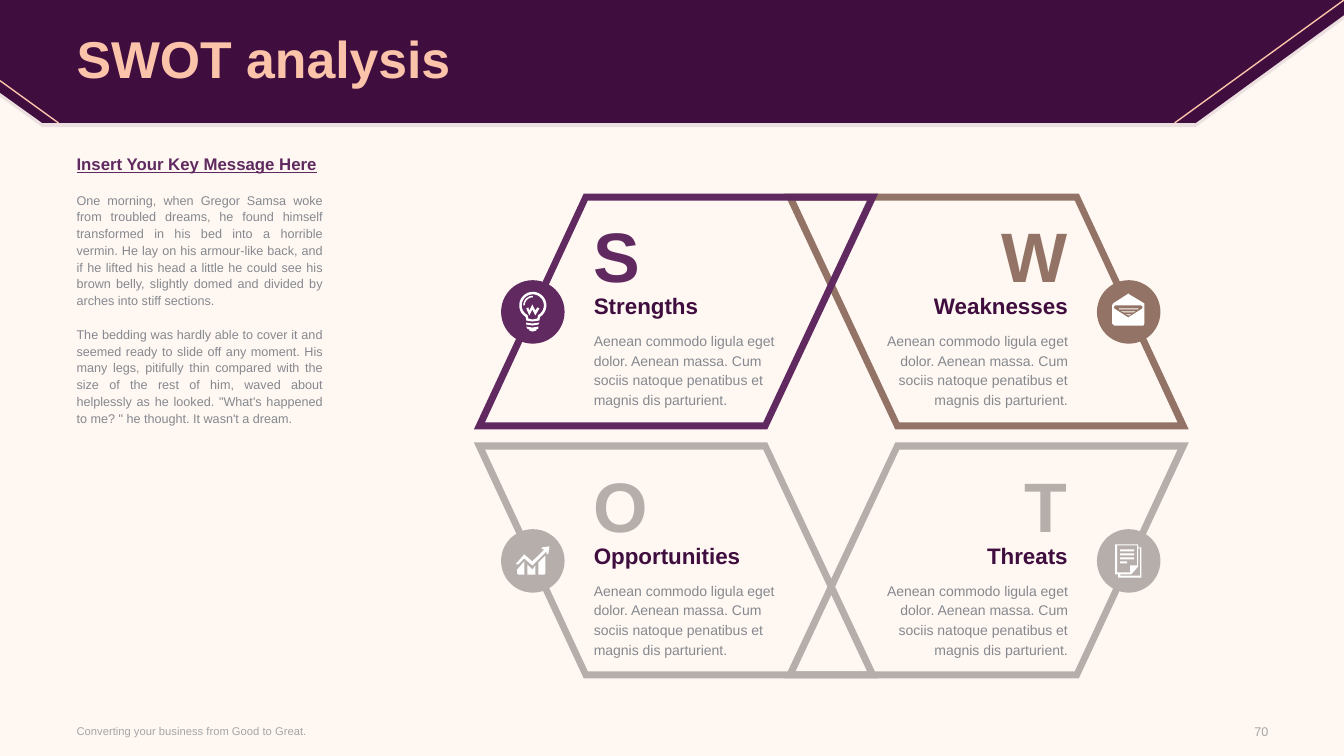
from math import cos, radians, sin

from lxml import etree
from pptx import Presentation
from pptx import util as u
from pptx.dml.color import RGBColor
from pptx.enum import shapes, text
from pptx.oxml.ns import qn

PX = 9144  # 100 px to the inch
WIDE, HIGH = 1333, 750
FONT = "Arial"
PLUM, GRAPE, TAUPE, ASH = "3F0D3E", "602A60", "927365", "B6AEAB"
PEACH, CREAM, WHITE, SLATE, PALE = "FBC4AA", "FFF7F2", "FFFFFF", "85898F", "A6A6A6"
GOLD = [(0, "B98763"), (35, PEACH), (64, PEACH), (83, "BF896E"), (100, "784D31")]
LEFT, RIGHT = text.PP_ALIGN.LEFT, text.PP_ALIGN.RIGHT
MIDDLE = text.MSO_ANCHOR.MIDDLE

HEADER = [(1186, 122), (42, 122), (0, 92), (0, 0), (1333, 0), (1333, 15)]
FRAME = [[(761, 426), (470, 426), (579, 192), (871, 192)],
         [(481, 419), (757, 419), (860, 199), (583, 199)]]
BLURB = ("Aenean commodo ligula eget dolor. Aenean massa. Cum sociis natoque "
         "penatibus et magnis dis parturient.")
STORY = [
    "One morning, when Gregor Samsa woke from troubled dreams, he found himself "
    "transformed in his bed into a horrible vermin. He lay on his armour-like back, "
    "and if he lifted his head a little he could see his brown belly, slightly domed "
    "and divided by arches into stiff sections.",
    "The bedding was hardly able to cover it and seemed ready to slide off any moment. "
    "His many legs, pitifully thin compared with the size of the rest of him, waved "
    "about helplessly as he looked. \"What's happened to me? \" he thought. "
    "It wasn't a dream.",
]


def arc(radius, start, end):
    """Points on a circle round the middle of the bulb, angles in degrees."""
    turns = [radians(start + (end - start) * i / 24) for i in range(25)]
    return [(528.5 + radius * cos(t), 303 + radius * sin(t)) for t in turns]


def bar(left, top, right, base):
    return [(left, top), (right, top), (right, base), (left, base)]


BULB = [
    arc(13.5, 122, 418) + [(535, 318), (528, 319), (522, 318)],
    arc(11, 118, 422) + [(533, 316), (528, 317), (524, 316)],
    [(522, 320), (528, 321), (535, 320), (534, 322), (528, 323), (522, 322)],
    [(522, 324), (528, 325), (534, 324), (534, 326), (532, 327), (532, 328),
     (528, 329), (525, 328), (525, 327), (523, 326)],
    [(531, 308), (528, 302), (525, 308), (524, 305), (522, 306), (525, 313),
     (528, 307), (531, 313), (535, 306), (533, 305)],
    arc(9.5, 180, 270) + arc(8, 270, 180),
]
LETTER = [
    [(1135, 301), (1120, 292), (1119, 291), (1118, 292), (1104, 301), (1103, 303),
     (1103, 321), (1105, 323), (1134, 323), (1135, 321)],
    [(1133, 306), (1119, 315), (1105, 306), (1105, 304), (1106, 303), (1132, 303),
     (1133, 304)],
    [(1119, 313), (1120, 313), (1122, 312), (1117, 312)],
    [(1115, 310), (1124, 310), (1126, 309), (1112, 309)],
    [(1110, 307), (1129, 307), (1129, 306), (1110, 306)],
]
CHART = [
    [(513, 569), (514, 570), (520, 570), (520, 557), (513, 565)],
    [(523, 560), (523, 570), (531, 570), (531, 561), (528, 565)],
    [(534, 558), (534, 570), (540, 570), (541, 569), (541, 551), (535, 557)],
    [(538, 543), (537, 544), (538, 545), (540, 545), (528, 557), (520, 550),
     (512, 559), (512, 560), (514, 560), (520, 554), (528, 561), (542, 547),
     (542, 549), (543, 550), (544, 549), (545, 542)],
]
PAPER = [
    [(1129, 543), (1129, 540), (1106, 540), (1106, 570), (1109, 570), (1109, 573),
     (1132, 573), (1132, 543)],
    [(1108, 568), (1108, 541), (1128, 541), (1128, 561), (1121, 561), (1121, 568)],
    [(1131, 571), (1111, 571), (1111, 570), (1122, 570), (1129, 562), (1129, 544),
     (1131, 544)],
    *[bar(1111, top, 1125, top + 2) for top in (545, 549, 553)],
    bar(1111, 557, 1118, 559),
]


def paint(item, shade):
    item.fill.solid()
    item.fill.fore_color.rgb = RGBColor.from_string(shade)
    item.line.fill.background()
    item.shadow.inherit = False


def outline(slide, rings, shade):
    """Draw closed rings as one shape; a ring inside another is a hole."""
    rings = [[(x * PX, y * PX) for x, y in ring] for ring in rings]
    build = slide.shapes.build_freeform(*rings[0][0], scale=1.0)
    for ring in rings:
        if ring is not rings[0]:
            build.move_to(*ring[0])
        build.add_line_segments(ring[1:], close=True)
    item = build.convert_to_shape()
    paint(item, shade)
    return item


def stroke(slide, *ends):
    line = slide.shapes.add_connector(shapes.MSO_CONNECTOR.STRAIGHT, *[v * PX for v in ends])
    line.line.color.rgb = RGBColor.from_string(PEACH)
    line.line.width = u.Pt(1)
    etree.SubElement(line._element.spPr, qn("a:effectLst"))


def frame(slide, left, top, width, height, anchor=text.MSO_ANCHOR.TOP):
    area = slide.shapes.add_textbox(left * PX, top * PX, width * PX, height * PX).text_frame
    area.margin_left = area.margin_right = area.margin_top = area.margin_bottom = 0
    area.word_wrap = True
    area.vertical_anchor = anchor
    return area


def write(area, words, size, shade, bold=False, under=False, align=LEFT, lead=None, gap=0):
    """Add one paragraph to a text frame and return its run."""
    para = area.paragraphs[0]
    if para.runs:
        para = area.add_paragraph()
        para.space_before = u.Pt(gap)
    para.alignment = align
    if lead:
        para.line_spacing = lead
    run = para.add_run()
    run.text = words
    font = run.font
    font.name, font.size, font.bold, font.underline = FONT, u.Pt(size), bold, under
    font.color.rgb = RGBColor.from_string(shade)
    return run


def gild(run):
    """Give a run the gold gradient."""
    run.font.fill.gradient()
    run.font.fill.gradient_angle = 0
    stops = run._r.find(".//" + qn("a:gsLst"))
    for old in list(stops):
        stops.remove(old)
    for place, shade in GOLD:
        stop = etree.SubElement(stops, qn("a:gs"), pos=str(place * 1000))
        etree.SubElement(stop, qn("a:srgbClr"), val=shade)


def header(slide):
    shade = outline(slide, [[(x, y + 4) for x, y in HEADER]], PLUM)
    tint = shade._element.spPr.find(".//" + qn("a:srgbClr"))
    etree.SubElement(tint, qn("a:alpha"), val="10000")
    outline(slide, [HEADER], PLUM)
    stroke(slide, 1333, 0, 1165, 122)
    stroke(slide, 58, 122, 0, 80)
    gild(write(frame(slide, 76, 3, 1181, 117, MIDDLE), "SWOT analysis", 37, PEACH,
               bold=True, lead=0.9))


def panel(slide, name, shade, icon, east, south):
    """Draw one quadrant, mirrored to the east and the south as asked."""
    outline(slide, [[(1649 - x if east else x, 865 - y if south else y) for x, y in ring]
                    for ring in FRAME], shade)
    badge = slide.shapes.add_shape(shapes.MSO_SHAPE.OVAL, (1088 if east else 497) * PX,
                                   (525 if south else 278) * PX, 63 * PX, 63 * PX)
    paint(badge, shade)
    outline(slide, icon, WHITE)
    left, drop = 865 if east else 589, 248 if south else 0
    align = RIGHT if east else LEFT
    write(frame(slide, left, 211 + drop, 194, 84), name[0], 50, shade, bold=True, align=align)
    write(frame(slide, left, 290 + drop, 194, 27), name, 16, PLUM, bold=True, align=align)
    write(frame(slide, left, 327 + drop, 194, 79), BLURB, 10, SLATE, align=align, lead=u.Pt(14))


def main():
    deck = Presentation()
    deck.slide_width, deck.slide_height = WIDE * PX, HIGH * PX
    slide = deck.slides.add_slide(deck.slide_layouts[6])
    slide.background.fill.solid()
    slide.background.fill.fore_color.rgb = RGBColor.from_string(CREAM)
    header(slide)

    side = frame(slide, 76, 156, 244, 519)
    flow = {"align": text.PP_ALIGN.JUSTIFY, "lead": u.Pt(12), "gap": 12}
    write(side, "Insert Your Key Message Here", 12, GRAPE, bold=True, under=True, **flow)
    for part in STORY:
        write(side, part, 9, SLATE, **flow)

    panel(slide, "Weaknesses", TAUPE, LETTER, True, False)
    panel(slide, "Opportunities", ASH, CHART, False, True)
    panel(slide, "Threats", ASH, PAPER, True, True)
    panel(slide, "Strengths", GRAPE, BULB, False, False)

    write(frame(slide, 76, 712, 523, 26, MIDDLE),
          "Converting your business from Good to Great.", 8, PALE)
    write(frame(slide, 1195, 713, 63, 26, MIDDLE), "70", 9, PALE, align=RIGHT)
    deck.save("out.pptx")


if __name__ == "__main__":
    main()
